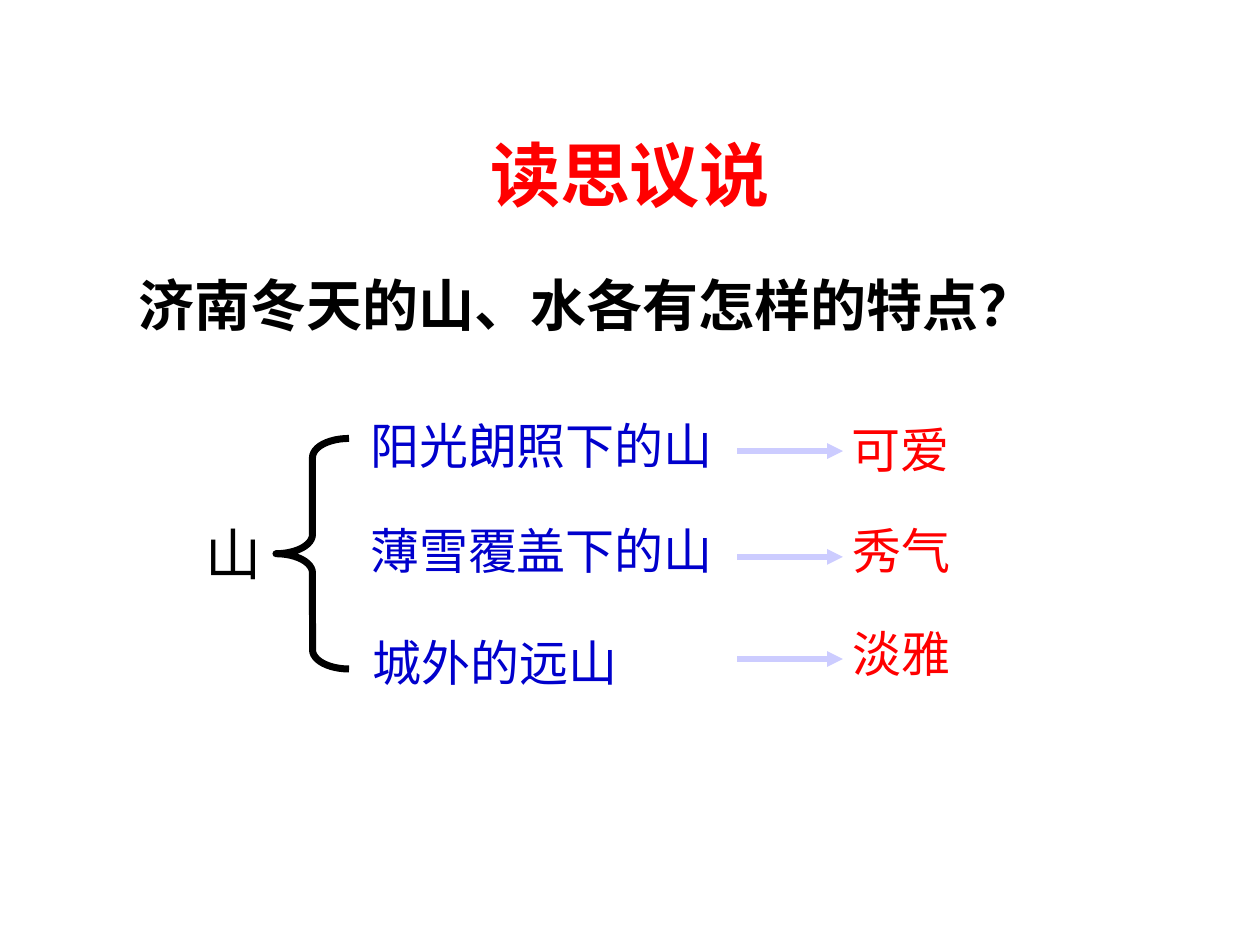
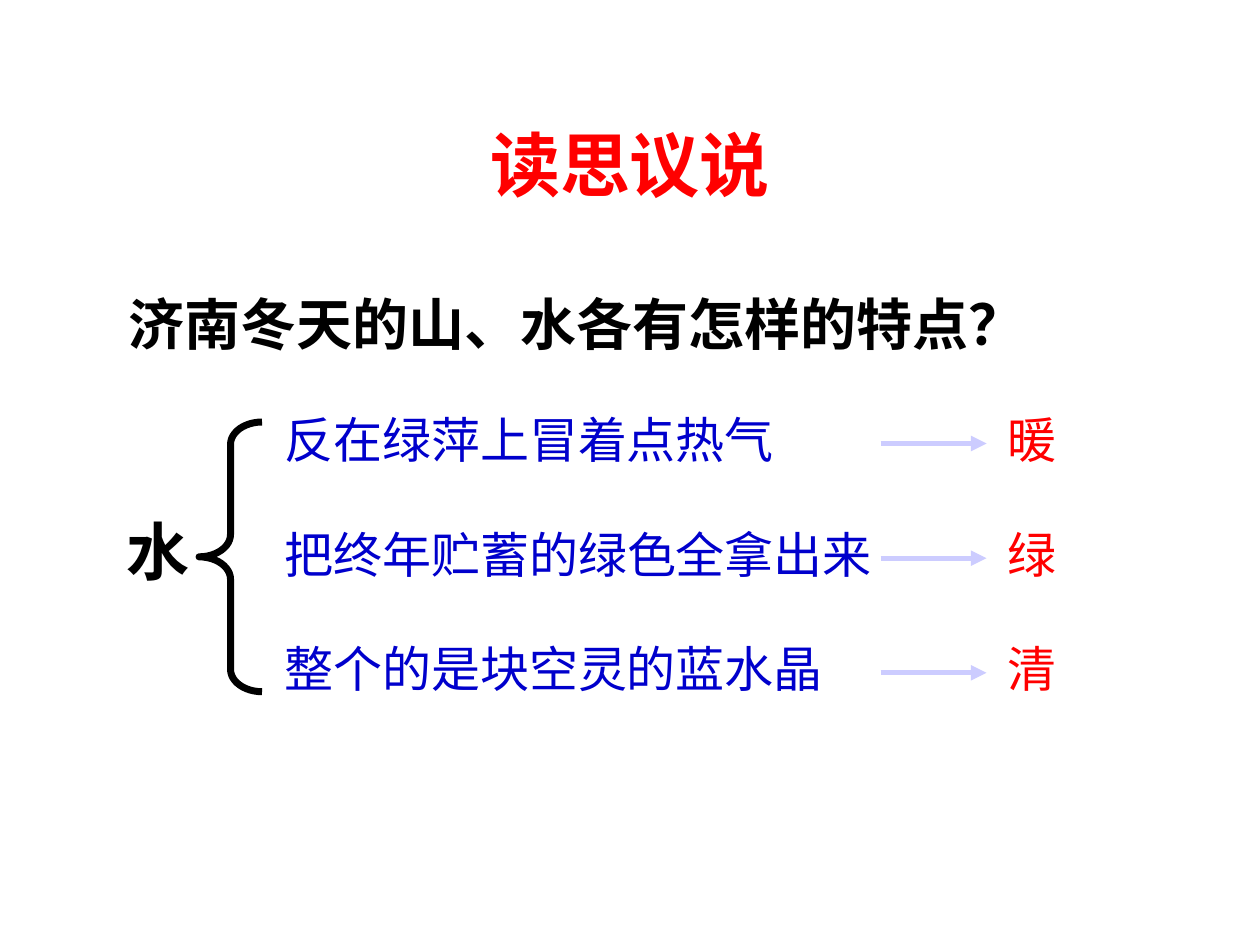
from lxml import etree
from pptx import Presentation
from pptx.dml.color import RGBColor
from pptx.enum.lang import MSO_LANGUAGE_ID
from pptx.enum.shapes import MSO_CONNECTOR, MSO_SHAPE
from pptx.enum.text import MSO_ANCHOR, MSO_AUTO_SIZE, PP_ALIGN
from pptx.oxml.ns import qn
from pptx.util import Emu, Pt

STRAIGHT = MSO_CONNECTOR.STRAIGHT
LEFT_BRACE = MSO_SHAPE.LEFT_BRACE
CHINESE = MSO_LANGUAGE_ID.SIMPLIFIED_CHINESE
MIDDLE, TOP = MSO_ANCHOR.MIDDLE, MSO_ANCHOR.TOP
GROW = MSO_AUTO_SIZE.SHAPE_TO_FIT_TEXT
CENTER = PP_ALIGN.CENTER

PX_PER_INCH = 100
EMU_PER_PX = 914400 // PX_PER_INCH
TITLE_ONLY = 5

COLORS = {"title": "FF0000", "ink": "000000", "phrase": "0000CC",
          "trait": "FF0000", "arrow": "CCCCFF"}
SERIF = "Times New Roman"
SANS = "Noto Sans CJK SC"

TITLE = "读思议说"
QUESTION = "济南冬天的山、水各有怎样的特点？"


def px(length):
    return Emu(round(length * EMU_PER_PX))


def rgb(name):
    return RGBColor.from_string(COLORS[name])


class Lesson:
    def __init__(self):
        self.deck = Presentation()
        self.deck.slide_width, self.deck.slide_height = px(1000), px(750)
        self.slide = None

    def new_slide(self, title_top):
        self.slide = self.deck.slides.add_slide(self.deck.slide_layouts[TITLE_ONLY])
        title = self.slide.shapes.title
        title.left, title.top, title.width, title.height = map(
            px, (75, title_top, 850, 108))
        title.text_frame.vertical_anchor = MIDDLE
        paragraph = title.text_frame.paragraphs[0]
        paragraph.text = TITLE
        paragraph.alignment = CENTER
        self.style(paragraph, 40, "title", bold=True)

    def style(self, paragraph, size, color, bold=False, face=SERIF):
        font = paragraph.font
        font.size, font.bold, font.name = Pt(size), bold, face
        font.color.rgb = rgb(color)
        font.language_id = CHINESE
        defaults = paragraph._p.pPr.find(qn("a:defRPr"))
        etree.SubElement(defaults, qn("a:ea"), typeface=SANS)

    def label(self, left, top, words, size, color, bold=False, face=SERIF):
        """Add one line in a box sized by its full-width characters."""
        width = len(words) * size * PX_PER_INCH / 72 + 20
        height = 1.2 * size * PX_PER_INCH / 72 + 10
        box = self.slide.shapes.add_textbox(px(left), px(top), px(width), px(height))
        frame = box.text_frame
        frame.word_wrap = False
        frame.auto_size = GROW
        frame.vertical_anchor = TOP
        paragraph = frame.paragraphs[0]
        paragraph.text = words
        self.style(paragraph, size, color, bold, face)

    def question(self, left, top):
        self.label(left, top, QUESTION, 32, "ink", bold=True, face=SANS)

    def brace(self, left, top, width, height):
        brace = self.slide.shapes.add_shape(
            LEFT_BRACE, px(left), px(top), px(width), px(height))
        brace.shadow.inherit = False
        brace.fill.background()
        brace.line.color.rgb = rgb("ink")
        brace.line.width = Pt(4)
        brace.adjustments[0] = height / 12 / width

    def arrow(self, left, y):
        arrow = self.slide.shapes.add_connector(
            STRAIGHT, px(left), px(y), px(left + 84), px(y))
        arrow.line.color.rgb = rgb("arrow")
        arrow.line.width = Pt(3)
        etree.SubElement(arrow.line._get_or_add_ln(), qn("a:tailEnd"), type="triangle")
        etree.SubElement(arrow._element.spPr, qn("a:effectLst"))

    def feature(self, phrase, arrow, trait):
        """Add a row: a phrase, an arrow and the trait it points to."""
        self.label(*phrase, 28, "phrase")
        self.arrow(*arrow)
        self.label(*trait, 28, "trait")


def mountain_slide(lesson):
    lesson.new_slide(84)
    lesson.question(100, 210)
    lesson.label(153, 407, "山", 32, "ink")
    lesson.brace(219, 348, 58, 183)
    lesson.feature((284, 325, "阳光朗照下的山"), (585, 358), (666, 328, "可爱"))
    lesson.feature((284, 408, "薄雪覆盖下的山"), (585, 442), (667, 408, "秀气"))
    lesson.feature((286, 497, "城外的远山"), (585, 523), (667, 490, "淡雅"))


def water_slide(lesson):
    lesson.new_slide(76)
    lesson.question(92, 225)
    lesson.label(91, 402, "水", 36, "ink", bold=True)
    lesson.brace(158, 335, 50, 214)
    features = [("反在绿萍上冒着点热气", "暖"),
                ("把终年贮蓄的绿色全拿出来", "绿"),
                ("整个的是块空灵的蓝水晶", "清")]
    for row, (phrase, trait) in enumerate(features):
        top = 320 + 91 * row
        lesson.feature((216, top, phrase), (699, top + 32), (790, top, trait))


def main():
    lesson = Lesson()
    mountain_slide(lesson)
    water_slide(lesson)
    lesson.deck.save("out.pptx")


if __name__ == "__main__":
    main()
